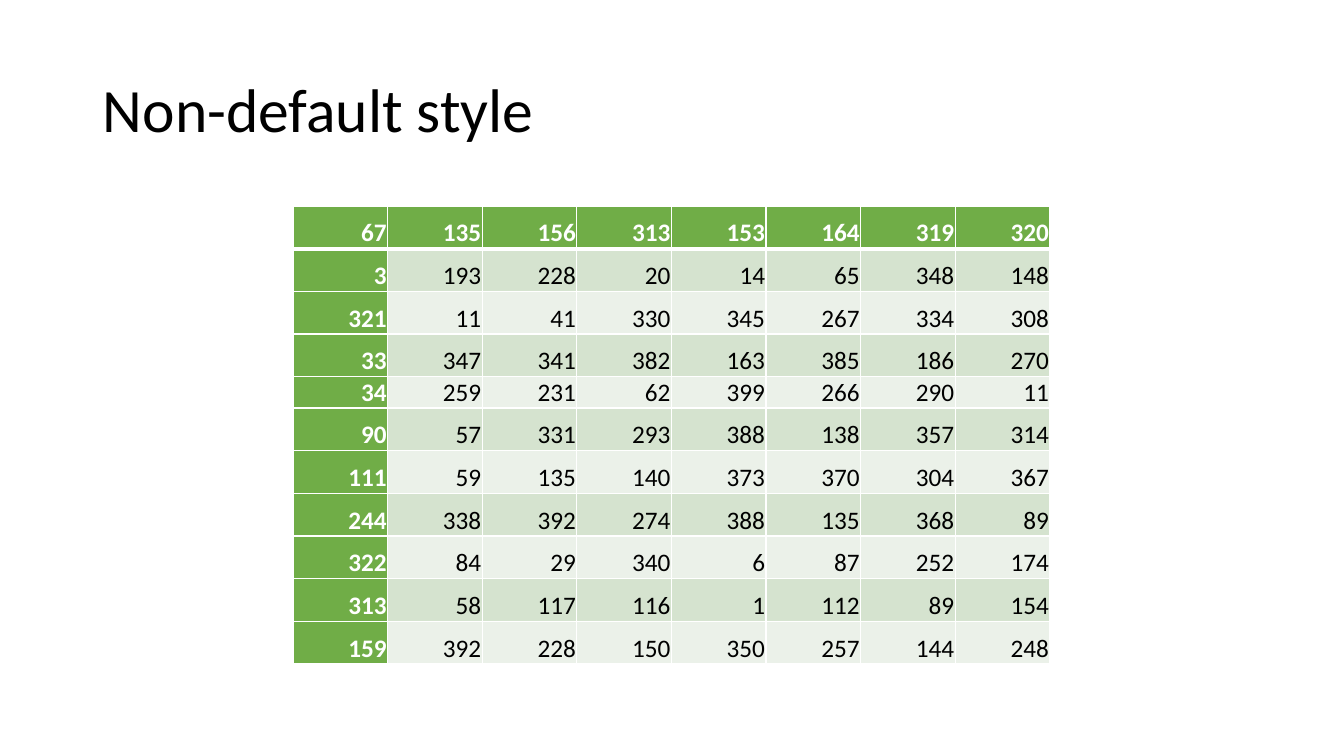
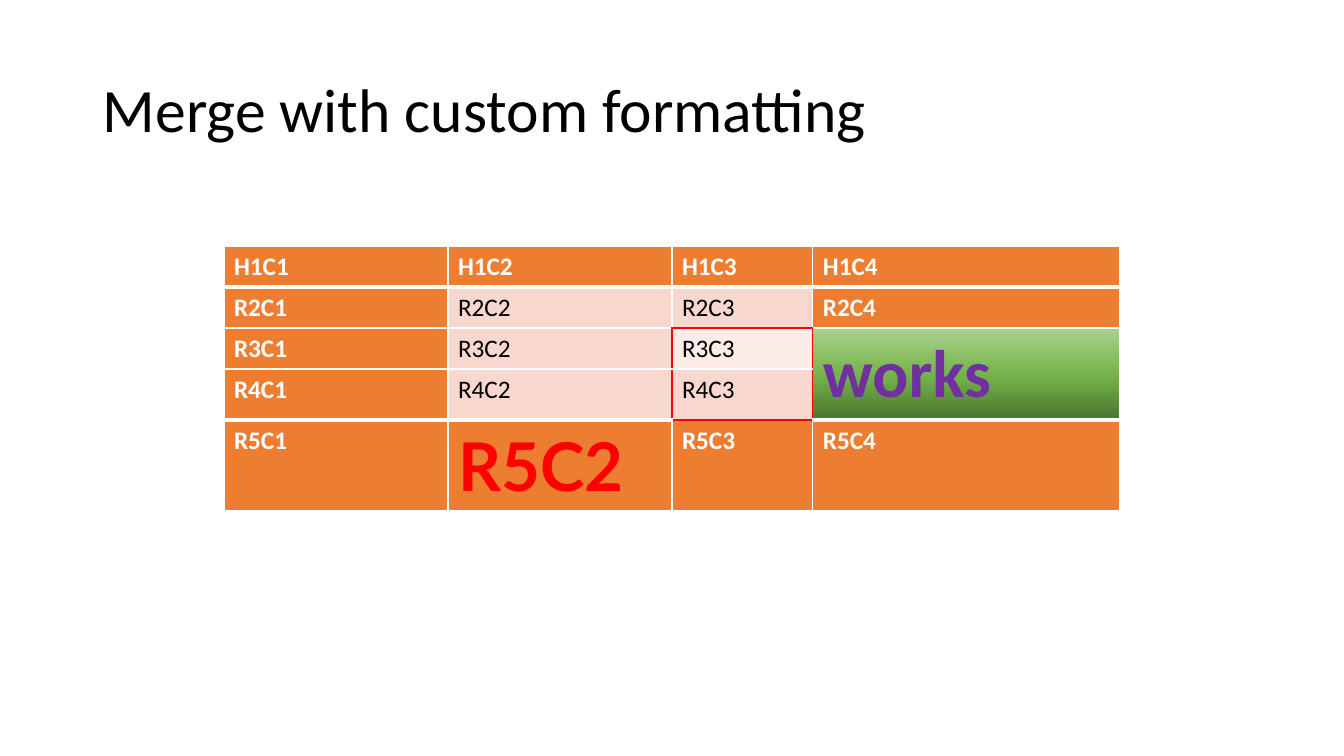
from lxml import etree
from pptx import Presentation
from pptx.dml.color import RGBColor
from pptx.enum.text import MSO_ANCHOR, PP_ALIGN
from pptx.oxml import parse_xml
from pptx.oxml.ns import nsdecls, qn
from pptx.util import Emu, Pt

TOP, MIDDLE, BOTTOM = MSO_ANCHOR.TOP, MSO_ANCHOR.MIDDLE, MSO_ANCHOR.BOTTOM
LEFT, RIGHT = PP_ALIGN.LEFT, PP_ALIGN.RIGHT

PX = 914400 / 100.8
SLIDE_SIZE = (1344, 756)
TITLE_AREA = (93, 40, 1159, 146)
FONT = "Calibri"
WHITE, BLACK, RED, PURPLE = "FFFFFF", "000000", "FF0000", "7030A0"
GREEN, GREEN_BANDS = "70AD47", ("D5E3CF", "EBF1E9")
ORANGE, ORANGE_BAND, ORANGE_PALE = "ED7D31", "F8D7CE", "FCECE8"
GREEN_FADE = ((0, "4B7430"), (48, "74B349"), (100, "A9D18E"))
THIN, THICK = 1, 3

NUMBERS = [
    (67, 135, 156, 313, 153, 164, 319, 320),
    (3, 193, 228, 20, 14, 65, 348, 148),
    (321, 11, 41, 330, 345, 267, 334, 308),
    (33, 347, 341, 382, 163, 385, 186, 270),
    (34, 259, 231, 62, 399, 266, 290, 11),
    (90, 57, 331, 293, 388, 138, 357, 314),
    (111, 59, 135, 140, 373, 370, 304, 367),
    (244, 338, 392, 274, 388, 135, 368, 89),
    (322, 84, 29, 340, 6, 87, 252, 174),
    (313, 58, 117, 116, 1, 112, 89, 154),
    (159, 392, 228, 150, 350, 257, 144, 248),
]
NUMBERS_AT = (293, 206)
NUMBERS_WIDTH = 757
TALL_ROWS_HEIGHT = 427
SHORT_ROW, SHORT_HEIGHT = 4, 31

LABELS = [
    ("H1C1", "H1C2", "H1C3", "H1C4"),
    ("R2C1", "R2C2", "R2C3", "R2C4"),
    ("R3C1", "R3C2", "R3C3", "works"),
    ("R4C1", "R4C2", "R4C3", ""),
    ("R5C1", "R5C2", "R5C3", "R5C4"),
]
LABELS_AT = (224, 246)
LABEL_WIDTHS = (224, 224, 141, 307)
LABEL_HEIGHTS = (41, 41, 41, 51, 91)
MERGED = ((2, 3), (3, 3))
RED_BOX = {(2, 2), (3, 2)}
BIG_TEXT = {"works": (FONT, PURPLE), "R5C2": ("Lato", RED)}


def px(length):
    return Emu(round(length * PX))


def rgb(value):
    return RGBColor.from_string(value)


def write(para, text, size, color, bold=False, font=FONT):
    span = para.add_run()
    span.text = text
    span.font.size = Pt(size)
    span.font.name = font
    span.font.bold = bold
    span.font.color.rgb = rgb(color)


def add_page(deck, title):
    page = deck.slides.add_slide(deck.slide_layouts[6])
    frame = page.shapes.add_textbox(*map(px, TITLE_AREA)).text_frame
    frame.word_wrap = True
    frame.vertical_anchor = MIDDLE
    para = frame.paragraphs[0]
    para.line_spacing = 0.9
    write(para, title, 44, BLACK)
    return page


def add_grid(page, corner, widths, heights):
    size = (sum(widths), sum(heights))
    table = page.shapes.add_table(
        len(heights), len(widths), *map(px, corner + size)).table
    table.first_row = table.horz_banding = False
    for column, width in zip(table.columns, widths):
        column.width = px(width)
    for row, height in zip(table.rows, heights):
        row.height = px(height)
    return table


def set_borders(table, thick_edges, red_box=()):
    """Draw thin white lines, thick ones below some rows, red round a box."""
    for r in range(len(table.rows)):
        for c in range(len(table.columns)):
            neighbours = {"lnL": (r, c - 1), "lnR": (r, c + 1),
                          "lnT": (r - 1, c), "lnB": (r + 1, c)}
            properties = table.cell(r, c)._tc.get_or_add_tcPr()
            for index, (side, other) in enumerate(neighbours.items()):
                red = ((r, c) in red_box) != (other in red_box)
                thick = other[1] == c and min(r, other[0]) in thick_edges
                width = THICK if thick and not red else THIN
                line = etree.Element(qn(f"a:{side}"), w=str(Pt(width)))
                fill = etree.SubElement(line, qn("a:solidFill"))
                etree.SubElement(fill, qn("a:srgbClr"),
                                 val=RED if red else WHITE)
                properties.insert(index, line)


def fill_cell(cell, color):
    cell.fill.solid()
    cell.fill.fore_color.rgb = rgb(color)


def fade_cell(cell, stops):
    """Fill a cell with a gradient that runs from bottom to top."""
    marks = "".join(f'<a:gs pos="{share * 1000}"><a:srgbClr val="{color}"/></a:gs>'
                    for share, color in stops)
    cell.fill.background()
    properties = cell._tc.tcPr
    properties.replace(properties.find(qn("a:noFill")), parse_xml(
        f'<a:gradFill {nsdecls("a")}><a:gsLst>{marks}</a:gsLst>'
        '<a:lin ang="16200000" scaled="0"/></a:gradFill>'))


def build_numbers(deck):
    page = add_page(deck, "Non-default style")
    columns, rows = len(NUMBERS[0]), len(NUMBERS)
    widths = [NUMBERS_WIDTH / columns] * columns
    heights = [TALL_ROWS_HEIGHT / (rows - 1)] * rows
    heights[SHORT_ROW] = SHORT_HEIGHT
    table = add_grid(page, NUMBERS_AT, widths, heights)
    set_borders(table, {0})
    for r, values in enumerate(NUMBERS):
        for c, value in enumerate(values):
            cell = table.cell(r, c)
            cell.margin_left = cell.margin_right = cell.margin_top = px(1)
            cell.margin_bottom = 0
            cell.vertical_anchor = BOTTOM
            header = r == 0 or c == 0
            fill_cell(cell, GREEN if header else GREEN_BANDS[(r - 1) % 2])
            para = cell.text_frame.paragraphs[0]
            para.alignment = RIGHT
            write(para, str(value), 18, WHITE if header else BLACK, header)


def build_labels(deck):
    page = add_page(deck, "Merge with custom formatting")
    table = add_grid(page, LABELS_AT, LABEL_WIDTHS, LABEL_HEIGHTS)
    last_row, last_column = len(LABELS) - 1, len(LABELS[0]) - 1
    set_borders(table, {0, last_row - 1}, RED_BOX)
    first, last = (table.cell(*place) for place in MERGED)
    first.merge(last)
    for r, texts in enumerate(LABELS):
        for c, text in enumerate(texts):
            cell = table.cell(r, c)
            if cell.is_spanned:
                continue
            cell.vertical_anchor = TOP
            header = r in (0, last_row) or c in (0, last_column)
            plain = ORANGE_PALE if text == "R3C3" else ORANGE_BAND
            fill_cell(cell, ORANGE if header else plain)
            para = cell.text_frame.paragraphs[0]
            para.alignment = LEFT
            if text in BIG_TEXT:
                font, color = BIG_TEXT[text]
                write(para, text, 48, color, True, font)
            else:
                write(para, text, 18, WHITE if header else BLACK, header)
    fade_cell(first, GREEN_FADE)


def main():
    deck = Presentation()
    deck.slide_width, deck.slide_height = map(px, SLIDE_SIZE)
    build_numbers(deck)
    build_labels(deck)
    deck.save("out.pptx")


if __name__ == "__main__":
    main()
